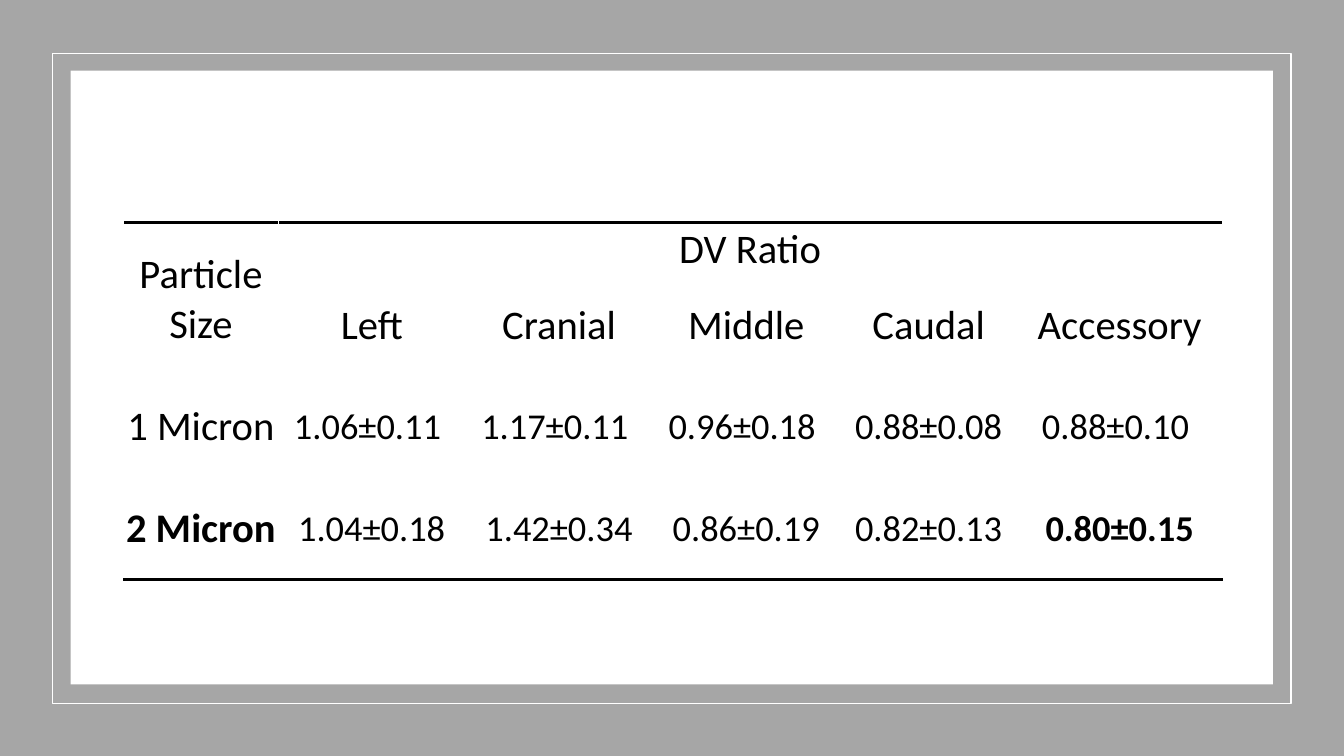
import pptx
import pptx.dml.color
import pptx.enum.shapes
import pptx.enum.text
import pptx.oxml
import pptx.oxml.ns
import pptx.util

Cm, Pt = pptx.util.Cm, pptx.util.Pt

SLIDE_WIDTH, SLIDE_HEIGHT = 33.87, 19.05
GREY, WHITE, BLACK = "A6A6A6", "FFFFFF", "000000"
LABEL_SIZE, VALUE_SIZE = 29, 26

COLUMN_WIDTHS = [3.89, 4.72, 4.72, 4.72, 4.47, 5.16]
ROW_HEIGHTS = [1.32, 1.32, 2.57, 2.57]
# The trailing spaces shift the centred values slightly to the left.
DV_RATIOS = [
    ["Particle Size", "DV Ratio", "", "", "", ""],
    ["", "Left", "Cranial", "Middle", "Caudal", "Accessory"],
    ["1 Micron", "1.06±0.11 ", "1.17±0.11 ", "0.96±0.18 ", "0.88±0.08", "0.88±0.10 "],
    ["2 Micron", "1.04±0.18", "1.42±0.34", "0.86±0.19", "0.82±0.13", "0.80±0.15"],
]
BOLD_CELLS = {(3, 0), (3, 5)}


def color(hex_value):
    return pptx.dml.color.RGBColor.from_string(hex_value)


def add_panel(slide, box, fill=None, line=None):
    panel = slide.shapes.add_shape(
        pptx.enum.shapes.MSO_SHAPE.RECTANGLE, *[Cm(length) for length in box])
    panel.shadow.inherit = False
    if fill:
        panel.fill.solid()
        panel.fill.fore_color.rgb = color(fill)
    else:
        panel.fill.background()
    if line:
        panel.line.color.rgb = color(line)
        panel.line.width = Pt(1)
    else:
        panel.line.fill.background()


def add_frame(slide, left, top, width, height):
    add_panel(slide, (left, top, width, height), fill=GREY)
    add_panel(slide, (left + 1.32, top + 1.35, width - 2.65, height - 2.67), line=WHITE)
    add_panel(slide, (left + 1.78, top + 1.78, width - 3.57, height - 3.58), fill=WHITE)


def rule_cell(cell, side):
    """Draw a black rule on one side of a cell: "T" or "B"."""
    rule = pptx.oxml.parse_xml(
        f'<a:ln{side} {pptx.oxml.ns.nsdecls("a")} w="{Pt(2)}">'
        f'<a:solidFill><a:srgbClr val="{BLACK}"/></a:solidFill></a:ln{side}>')
    cell._tc.get_or_add_tcPr().insert(0, rule)


def format_cell(cell, wording, size, bold):
    cell.fill.solid()
    cell.fill.fore_color.rgb = color(WHITE)
    cell.margin_left = cell.margin_right = cell.margin_top = Cm(0.03)
    cell.margin_bottom = 0
    cell.vertical_anchor = pptx.enum.text.MSO_ANCHOR.MIDDLE
    paragraph = cell.text_frame.paragraphs[0]
    paragraph.text = wording
    paragraph.alignment = pptx.enum.text.PP_ALIGN.CENTER
    for run in paragraph.runs:
        run.font.name = "Calibri"
        run.font.size = Pt(size)
        run.font.bold = bold
        run.font.color.rgb = color(BLACK)


def add_ratio_table(slide, left, top):
    last_row = len(ROW_HEIGHTS) - 1
    ratios = slide.shapes.add_table(
        len(ROW_HEIGHTS), len(COLUMN_WIDTHS), Cm(left), Cm(top),
        Cm(sum(COLUMN_WIDTHS)), Cm(sum(ROW_HEIGHTS))).table
    ratios.first_row = ratios.horz_banding = False
    for column, width in zip(ratios.columns, COLUMN_WIDTHS):
        column.width = Cm(width)
    for row, height in zip(ratios.rows, ROW_HEIGHTS):
        row.height = Cm(height)

    for r, wordings in enumerate(DV_RATIOS):
        for c, wording in enumerate(wordings):
            cell = ratios.cell(r, c)
            is_value = r >= 2 and c >= 1
            format_cell(cell, wording, VALUE_SIZE if is_value else LABEL_SIZE,
                        (r, c) in BOLD_CELLS)
            if r == 0:
                rule_cell(cell, "T")
            elif r == last_row:
                rule_cell(cell, "B")
    ratios.cell(0, 0).merge(ratios.cell(1, 0))
    ratios.cell(0, 1).merge(ratios.cell(0, 5))


def main():
    presentation = pptx.Presentation()
    presentation.slide_width = Cm(SLIDE_WIDTH)
    presentation.slide_height = Cm(SLIDE_HEIGHT)
    slide = presentation.slides.add_slide(presentation.slide_layouts[6])
    add_frame(slide, 0, 0, SLIDE_WIDTH, SLIDE_HEIGHT)
    add_ratio_table(slide, 3.12, 5.61)
    presentation.save("out.pptx")


if __name__ == "__main__":
    main()
